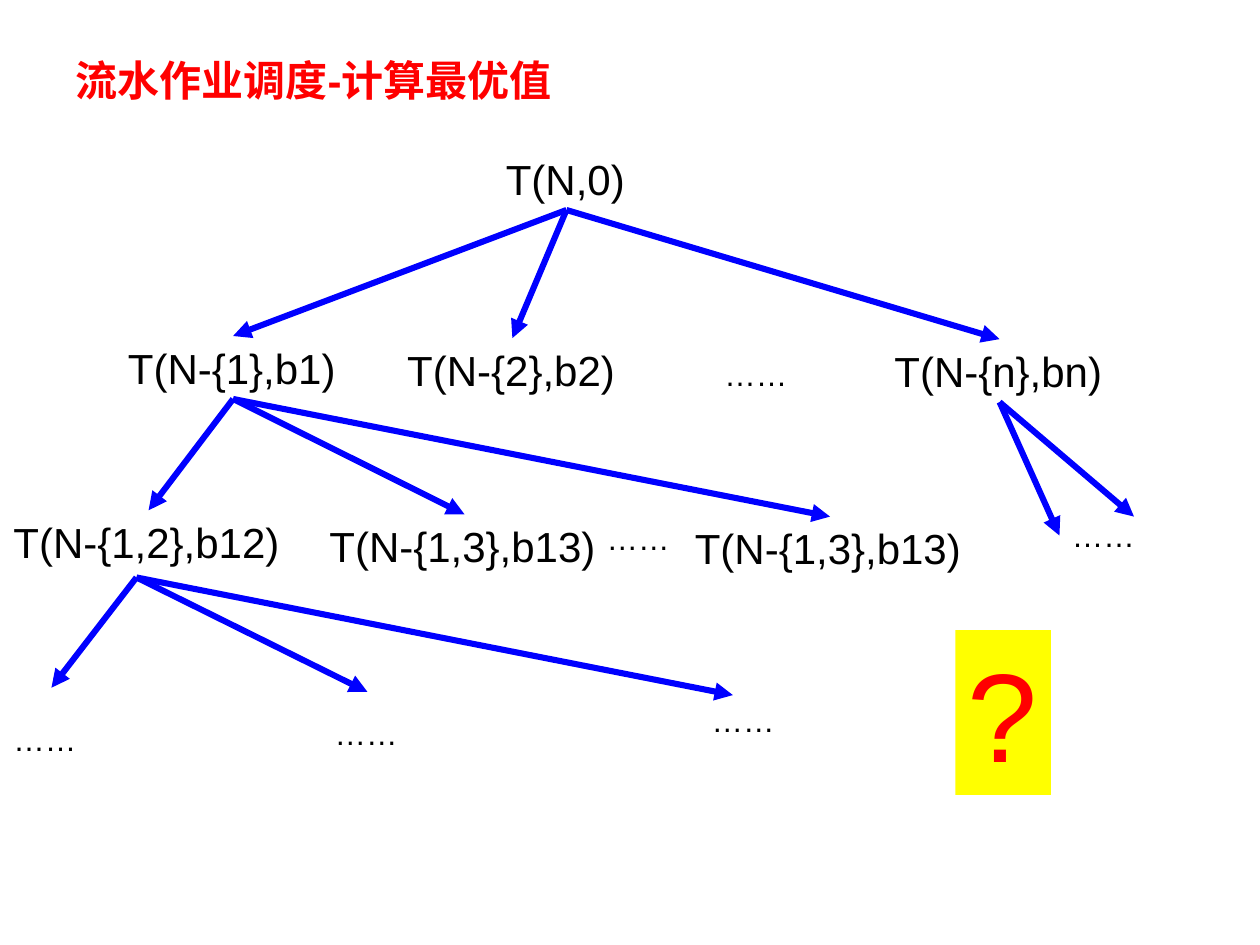
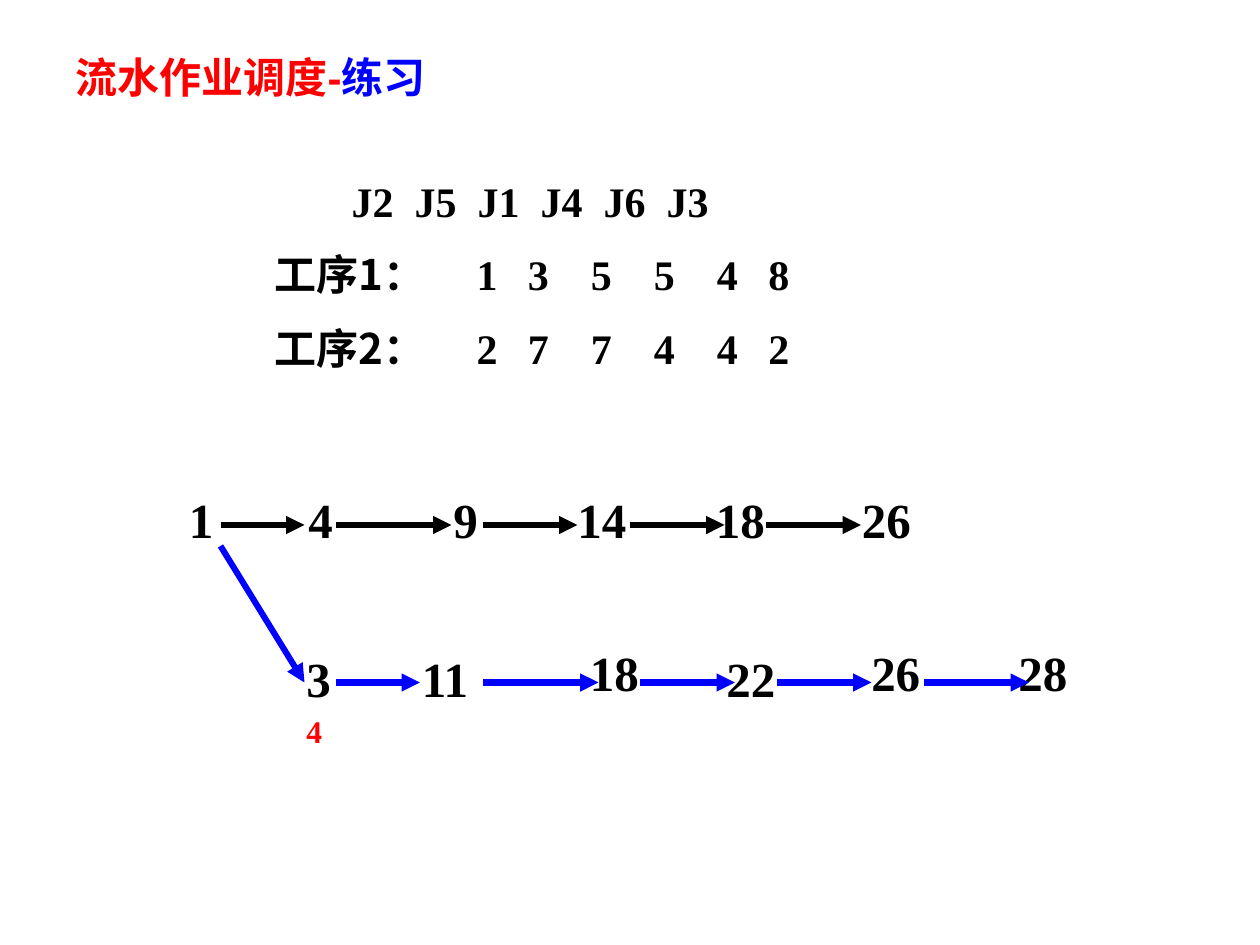
from lxml import etree
from pptx import Presentation
from pptx import util as u
from pptx.dml.color import RGBColor
from pptx.enum import shapes, text
from pptx.oxml import ns

COLORS = {"red": "FF0000", "blue": "0000FF", "black": "000000", "yellow": "FFFF00"}
SANS, SERIF, CJK = "Arial", "Times New Roman", "Noto Sans CJK SC"
COLS, ROWS = 120, 90
CELL = u.Inches(10) // COLS
HEIGHTS = {18: 4.8, 24: 6, 28: 6.8, 72: 15.7}
TOP, LEFT, BOTTOM = 0, 1, 2


def grid(*cells):
    """Turn grid columns or rows into lengths."""
    return [u.Emu(round(c * CELL)) for c in cells]


def rgb(color):
    """Look up a named colour."""
    return RGBColor.from_string(COLORS[color])


def style(font, size, color="black", name=SANS, bold=False):
    """Format a paragraph font."""
    font.size, font.name, font.bold = u.Pt(size), name, bold
    font.color.rgb = rgb(color)


def add_run(p, words, east_asian=None):
    """Add a run, with an East Asian font where one is needed."""
    r = p.add_run()
    r.text = words
    if east_asian:
        etree.SubElement(r._r.get_or_add_rPr(), ns.qn("a:ea"), typeface=east_asian)
    return r


def add_title(prs, row, words, accent=None):
    """Add a slide with a red title and an optional blue ending."""
    s = prs.slides.add_slide(prs.slide_layouts[5])
    sp = s.shapes.title
    sp.left, sp.top, sp.width, sp.height = grid(6, row, 48, 6)
    tf = sp.text_frame
    tf.word_wrap, tf.auto_size = True, text.MSO_AUTO_SIZE.NONE
    tf.vertical_anchor = text.MSO_ANCHOR.TOP
    p = tf.paragraphs[0]
    p.alignment = text.PP_ALIGN.LEFT
    style(p.font, 24, "red", bold=True)
    add_run(p, words, CJK)
    if accent:
        r = add_run(p, accent)
        r.font.color.rgb = rgb("blue")
        etree.SubElement(r._r.get_or_add_rPr(), ns.qn("a:ea"), typeface=CJK)
    return s


def add_label(s, words, col, row, width, size=24, **look):
    """Add a one-line label that fits its text."""
    sp = s.shapes.add_textbox(*grid(col, row, width, HEIGHTS[size]))
    tf = sp.text_frame
    tf.word_wrap, tf.auto_size = False, text.MSO_AUTO_SIZE.SHAPE_TO_FIT_TEXT
    p = tf.paragraphs[0]
    style(p.font, size, **look)
    add_run(p, words)
    return sp


def add_dots(s, col, row):
    """Add an ellipsis label."""
    return add_label(s, "……", col, row, 8.5, size=18)


def add_arrow(s, start, end, color="blue"):
    """Draw an arrow between grid points."""
    c = s.shapes.add_connector(shapes.MSO_CONNECTOR.STRAIGHT, *grid(*start, *end))
    c.line.color.rgb, c.line.width = rgb(color), u.Pt(3.5)
    etree.SubElement(c.line._get_or_add_ln(), ns.qn("a:tailEnd"), type="triangle")
    etree.SubElement(c._element.spPr, ns.qn("a:effectLst"))
    return c


def add_branch(s, parent, child, side=TOP):
    """Join the bottom of a parent to a side of its child."""
    c = add_arrow(s, (0, 0), (1, 1))
    c.begin_connect(parent, BOTTOM)
    c.end_connect(child, side)


def add_job_rows(s, col, row, rows):
    """Add rows of label and values, each aligned on its own tab stops."""
    tf = s.shapes.add_textbox(*grid(col, row, 59.2, 22)).text_frame
    tf.word_wrap = True
    for i, (label, values, stops) in enumerate(rows):
        p = tf.paragraphs[0] if i == 0 else tf.add_paragraph()
        p.line_spacing = 1.45
        tabs = etree.SubElement(p._p.get_or_add_pPr(), ns.qn("a:tabLst"))
        for stop in grid(*stops):
            etree.SubElement(tabs, ns.qn("a:tab"), pos=str(stop), algn="l")
        style(p.font, 24, name=SERIF, bold=True)
        if label:
            r = add_run(p, label)
            r.font.name = CJK
            etree.SubElement(r._r.get_or_add_rPr(), ns.qn("a:ea"), typeface=CJK)
        add_run(p, "".join(f"\t{v}" for v in values.split()))


def add_chain(s, row, color, times, arrows):
    """Add finishing times and the level arrows between them."""
    for value, col, top in times:
        width = 4.8 if len(value) == 1 else 7.1
        add_label(s, value, col, top, width, size=28, name=SERIF, bold=True)
    for start, end in arrows:
        add_arrow(s, (start, row), (end, row), color)


def build_tree(prs):
    """Build the recursion tree slide."""
    s = add_title(prs, 4.6, "流水作业调度-计算最优值")
    root = add_label(s, "T(N,0)", 47, 14, 13.9)
    first, second, last = [
        add_label(s, words, col, row, 22.4)
        for words, col, row in [("T(N-{1},b1)", 11, 32), ("T(N-{2},b2)", 37.6, 32.2),
                                ("T(N-{n},bn)", 84, 32.3)]]
    pairs = [add_label(s, words, col, row, 28.1)
             for words, col, row in [("T(N-{1,2},b12)", 0.1, 48.6),
                                     ("T(N-{1,3},b13)", 30.2, 49),
                                     ("T(N-{1,3},b13)", 65, 49.2)]]
    for child in (first, second, last):
        add_branch(s, root, child)
    for child in pairs:
        add_branch(s, first, child)
    for end in [(4.9, 65.5), (35, 65.9), (69.8, 66.2)]:
        add_arrow(s, (13, 55), end)
    for col, row in [(67.8, 33.2), (56.6, 48.8), (0.1, 68), (30.7, 67.4), (66.6, 66.2)]:
        add_dots(s, col, row)
    add_branch(s, last, add_dots(s, 100.9, 48.6), LEFT)
    add_arrow(s, (95.2, 38.4), (108, 49.2)).begin_connect(last, BOTTOM)
    mark = add_label(s, "?", 91, 60, 9.1, size=72, color="red")
    mark.fill.solid()
    mark.fill.fore_color.rgb = rgb("yellow")


def build_exercise(prs):
    """Build the exercise slide with job times and two chains."""
    s = add_title(prs, 4.3, "流水作业调度-", "练习")
    stops = [19.2, 24.1, 30.1, 36.1, 42.1, 47]
    add_job_rows(s, 25, 14, [
        ("", "J2 J5 J1 J4 J6 J3", [7.3 + 6 * i for i in range(6)]),
        ("工序1：", "1 3 5 5 4 8", stops),
        ("工序2：", "2 7 7 4 4 2", stops)])
    first_cols = [16.8, 28.2, 42, 53.8, 67, 80.9]
    add_chain(s, 50, "black",
              [(v, col, 46) for v, col in zip("1 4 9 14 18 26".split(), first_cols)],
              [(21, 29), (32, 43), (46, 55), (60, 69), (73, 82)])
    add_chain(s, 65, "blue",
              [("3", 28, 61.2), ("11", 39, 61.2), ("18", 55, 60.6),
               ("22", 68, 61.2), ("26", 81.8, 60.6), ("28", 95.8, 60.6)],
              [(32, 40), (46, 57), (61, 70), (74, 83), (88, 98)])
    add_arrow(s, (21, 52), (29, 65))
    add_label(s, "4", 28, 67.2, 4, size=18, color="red", name=SERIF, bold=True)


def main():
    """Build and save the two slides."""
    prs = Presentation()
    prs.slide_width, prs.slide_height = grid(COLS, ROWS)
    build_tree(prs)
    build_exercise(prs)
    prs.save("out.pptx")


if __name__ == "__main__":
    main()
